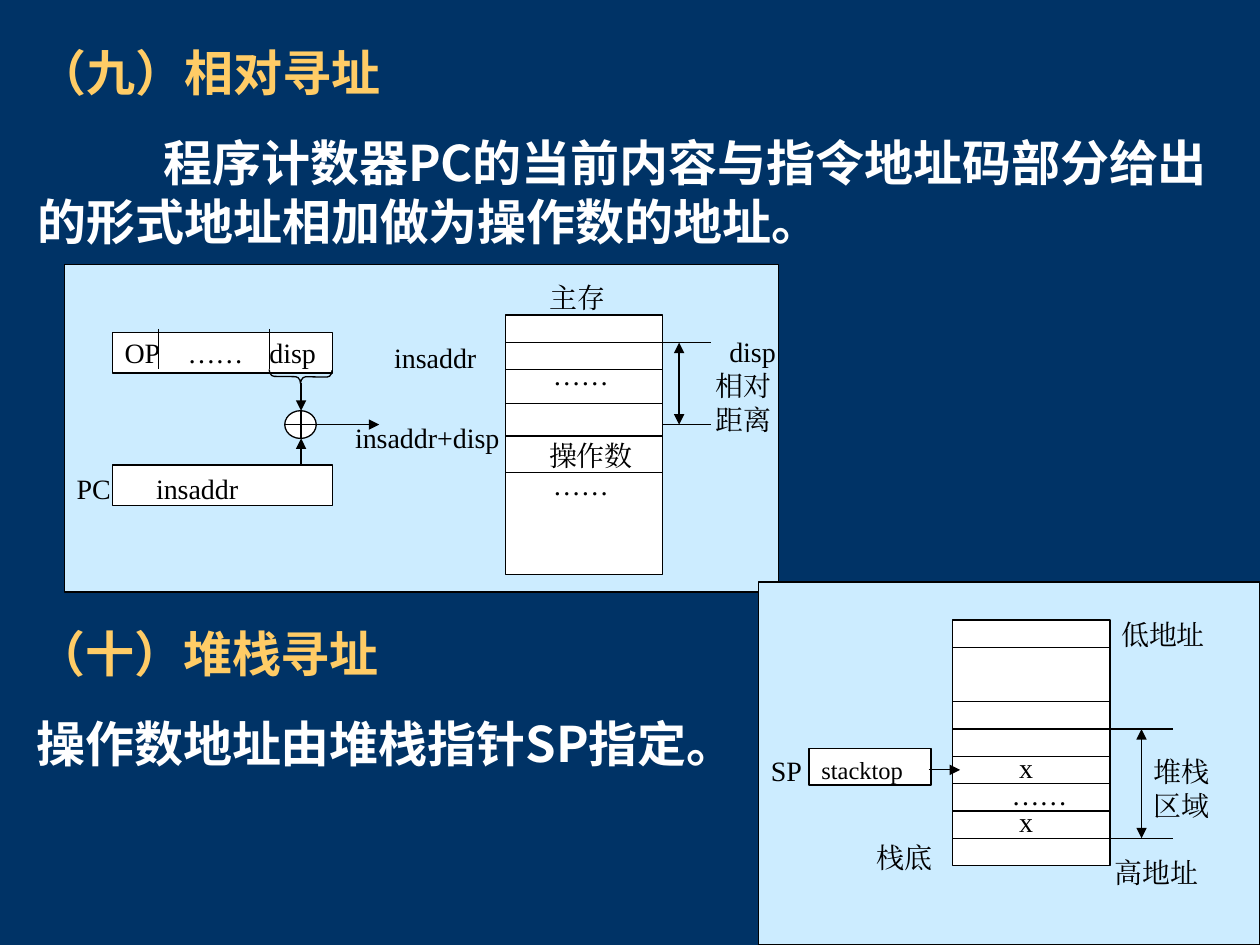
from typing import NamedTuple

from lxml.etree import SubElement
from pptx import Presentation
from pptx.dml.color import RGBColor
from pptx.enum.shapes import MSO_CONNECTOR as Conn, MSO_SHAPE as Kind
from pptx.enum.text import MSO_ANCHOR as Anchor, PP_ALIGN as Align
from pptx.oxml.ns import qn
from pptx.util import Inches, Pt

NAVY = RGBColor(0x00, 0x33, 0x66)
GOLD = RGBColor(0xFF, 0xCC, 0x66)
WHITE = RGBColor(0xFF, 0xFF, 0xFF)
PALE = RGBColor(0xCC, 0xEC, 0xFF)
BLACK = RGBColor(0x00, 0x00, 0x00)
SANS, SERIF = "Noto Sans CJK JP", "Times New Roman"


class Box(NamedTuple):
    x: float
    y: float
    w: float
    h: float


class Line(NamedTuple):
    x1: float
    y1: float
    x2: float
    y2: float
    ends: tuple[str, ...] = ()


class Label(NamedTuple):
    box: Box
    rows: tuple[str, ...]
    dents: tuple[float, ...] = ()
    pitch: float = 1.0
    tabs: tuple[float, ...] = ()


HEAD, TAIL = "a:headEnd", "a:tailEnd"


def place(box: Box) -> list[int]:
    return [Inches(v) for v in box]


def add_run(para, text: str, face: str, size: float, tint: RGBColor, bold: bool = False) -> None:
    run = para.add_run()
    run.text = text
    font = run.font
    font.name, font.size, font.bold = face, Pt(size), bold
    font.color.rgb = tint
    SubElement(font._element, qn("a:ea"), typeface=face)


def draw_shape(shapes, kind: Kind, box: Box, fill: RGBColor | None = WHITE):
    shape = shapes.add_shape(kind, *place(box))
    shape.shadow.inherit = False
    if fill is None:
        shape.fill.background()
    else:
        shape.fill.solid()
        shape.fill.fore_color.rgb = fill
    shape.line.color.rgb = BLACK
    shape.line.width = Pt(0.75)
    return shape


def draw_line(shapes, line: Line) -> None:
    ends = [Inches(v) for v in line[:4]]
    link = shapes.add_connector(Conn.STRAIGHT, *ends)
    link.line.color.rgb = BLACK
    link.line.width = Pt(0.75)
    for end in line.ends:
        SubElement(link.line._get_or_add_ln(), qn(end), type="triangle")
    SubElement(link._element.spPr, qn("a:effectLst"))


def write(frame, label: Label, size: float = 16) -> None:
    frame.word_wrap = True
    frame.vertical_anchor = Anchor.TOP
    for i, row in enumerate(label.rows):
        para = frame.add_paragraph() if i else frame.paragraphs[0]
        para.alignment = Align.JUSTIFY
        para.line_spacing = label.pitch
        props = para._p.get_or_add_pPr()
        if label.dents:
            props.set("marL", str(Inches(label.dents[i])))
        if label.tabs:
            stops = SubElement(props, qn("a:tabLst"))
            for stop in label.tabs:
                SubElement(stops, qn("a:tab"), pos=str(Inches(stop)), algn="l")
        add_run(para, row, SERIF, size, BLACK)


def draw_label(shapes, label: Label) -> None:
    write(shapes.add_textbox(*place(label.box)).text_frame, label)


def draw_body(shapes, box: Box, title: str, text: str, dent: float = 0) -> None:
    frame = shapes.add_textbox(*place(box)).text_frame
    frame.word_wrap = True
    head, para = frame.paragraphs[0], frame.add_paragraph()
    para.space_before = Pt(17.5)
    para._p.get_or_add_pPr().set("indent", str(Inches(dent)))
    for item, words, tint in ((head, title, GOLD), (para, text, WHITE)):
        item.line_spacing = Pt(34)
        add_run(item, words, SANS, 28, tint, True)


def draw_store(shapes, box: Box, cuts: list[float]) -> None:
    """A memory column with a rule at each cut."""
    draw_shape(shapes, Kind.RECTANGLE, box)
    for y in cuts:
        draw_line(shapes, Line(box.x, y, box.x + box.w, y))


def draw_span(shapes, left: float, right: float, mid: float, top: float, low: float) -> None:
    """Two ticks with a double arrow between them."""
    for y in (top, low):
        draw_line(shapes, Line(left, y, right, y))
    draw_line(shapes, Line(mid, top, mid, low, (HEAD, TAIL)))


def draw_offset(shapes) -> None:
    """Relative addressing: PC plus displacement."""
    draw_shape(shapes, Kind.RECTANGLE, Box(0.51, 2.1, 5.67, 2.6), PALE)
    draw_store(shapes, Box(4.01, 2.5, 1.25, 2.06), [2.72, 2.93, 3.2, 3.46, 3.75])

    # Instruction and program counter
    for y in (2.64, 3.69):
        draw_shape(shapes, Kind.RECTANGLE, Box(0.89, y, 1.75, 0.32))
    for x in (1.26, 2.14):
        draw_line(shapes, Line(x, 2.61, x, 2.93))
    brace = draw_shape(shapes, Kind.RIGHT_BRACE, Box(2.33, 2.74, 0.11, 0.5), None)
    brace.rotation = 90.7
    brace.adjustments[0] = 0.36

    # Adder
    draw_shape(shapes, Kind.OVAL, Box(2.26, 3.26, 0.25, 0.22))
    for line in (
        Line(2.26, 3.37, 2.51, 3.37),
        Line(2.39, 3.26, 2.39, 3.48),
        Line(2.39, 3.04, 2.39, 3.26, (TAIL,)),
        Line(2.39, 3.69, 2.39, 3.48, (TAIL,)),
        Line(2.51, 3.37, 3.01, 3.37, (TAIL,)),
    ):
        draw_line(shapes, line)
    draw_span(shapes, 5.26, 5.64, 5.39, 2.72, 3.37)

    for label in (
        Label(Box(0.89, 2.61, 1.75, 0.32), ("OP\t……\tdisp",), tabs=(0.5, 1.15)),
        Label(Box(0.51, 3.69, 0.5, 0.32), ("PC",)),
        Label(Box(1.14, 3.69, 1.25, 0.32), ("insaddr",)),
        Label(Box(2.72, 3.29, 1.67, 0.31), ("insaddr+disp",)),
        Label(Box(3.03, 2.65, 1.11, 0.29), ("insaddr",)),
        Label(Box(4.26, 2.18, 0.75, 0.32), ("主存",)),
        Label(Box(4.26, 3.43, 1, 0.43), ("操作数",)),
        Label(Box(4.29, 2.79, 0.75, 0.21), ("……",)),
        Label(Box(4.29, 3.66, 0.75, 0.21), ("……",)),
        Label(Box(5.58, 2.61, 0.76, 1.06), ("disp", "相对", "距离"), (0.11, 0, 0)),
    ):
        draw_label(shapes, label)


def draw_stack(shapes) -> None:
    """Stack addressing: SP points at the top."""
    draw_shape(shapes, Kind.RECTANGLE, Box(6.02, 4.62, 3.98, 2.88), PALE)
    store = Box(7.56, 4.92, 1.25, 1.95)
    step = store.h / 9
    draw_store(shapes, store, [store.y + step * n for n in (1, 3, 4, 5, 6, 7, 8)])
    draw_span(shapes, 8.81, 9.31, 9.06, store.y + step * 4, store.y + step * 8)

    # Stack pointer
    top = Label(Box(6.42, 5.94, 0.97, 0.29), ("stacktop",))
    write(draw_shape(shapes, Kind.RECTANGLE, top.box).text_frame, top, 14)
    draw_line(shapes, Line(7.37, 6.11, 7.62, 6.11, (TAIL,)))

    for label in (
        Label(Box(8.8, 4.85, 1.22, 0.33), ("低地址",)),
        Label(Box(8.75, 6.74, 1.19, 0.32), ("高地址",)),
        Label(Box(9.06, 5.94, 0.88, 0.33), ("堆栈", "区域")),
        Label(Box(6.02, 5.93, 0.5, 0.32), ("SP",)),
        Label(Box(7.82, 5.96, 0.87, 0.76), ("x", "……", "x"), (0.17, 0.11, 0.17), 0.8),
        Label(Box(6.86, 6.62, 0.75, 0.33), ("栈底",)),
    ):
        draw_label(shapes, label)


def main() -> None:
    deck = Presentation()
    deck.slide_width, deck.slide_height = Inches(10), Inches(7.5)
    slide = deck.slides.add_slide(deck.slide_layouts[6])
    slide.background.fill.solid()
    slide.background.fill.fore_color.rgb = NAVY
    shapes = slide.shapes

    draw_body(shapes, Box(0.2, 0.28, 9.8, 2.05), "（九）相对寻址",
              "程序计数器PC的当前内容与指令地址码部分给出的形式地址相加做为操作数的地址。", 1)
    draw_offset(shapes.add_group_shape().shapes)
    draw_body(shapes, Box(0.19, 4.89, 8.67, 1.38), "（十）堆栈寻址",
              "操作数地址由堆栈指针SP指定。")
    draw_stack(shapes.add_group_shape().shapes)
    deck.save("out.pptx")


if __name__ == "__main__":
    main()
